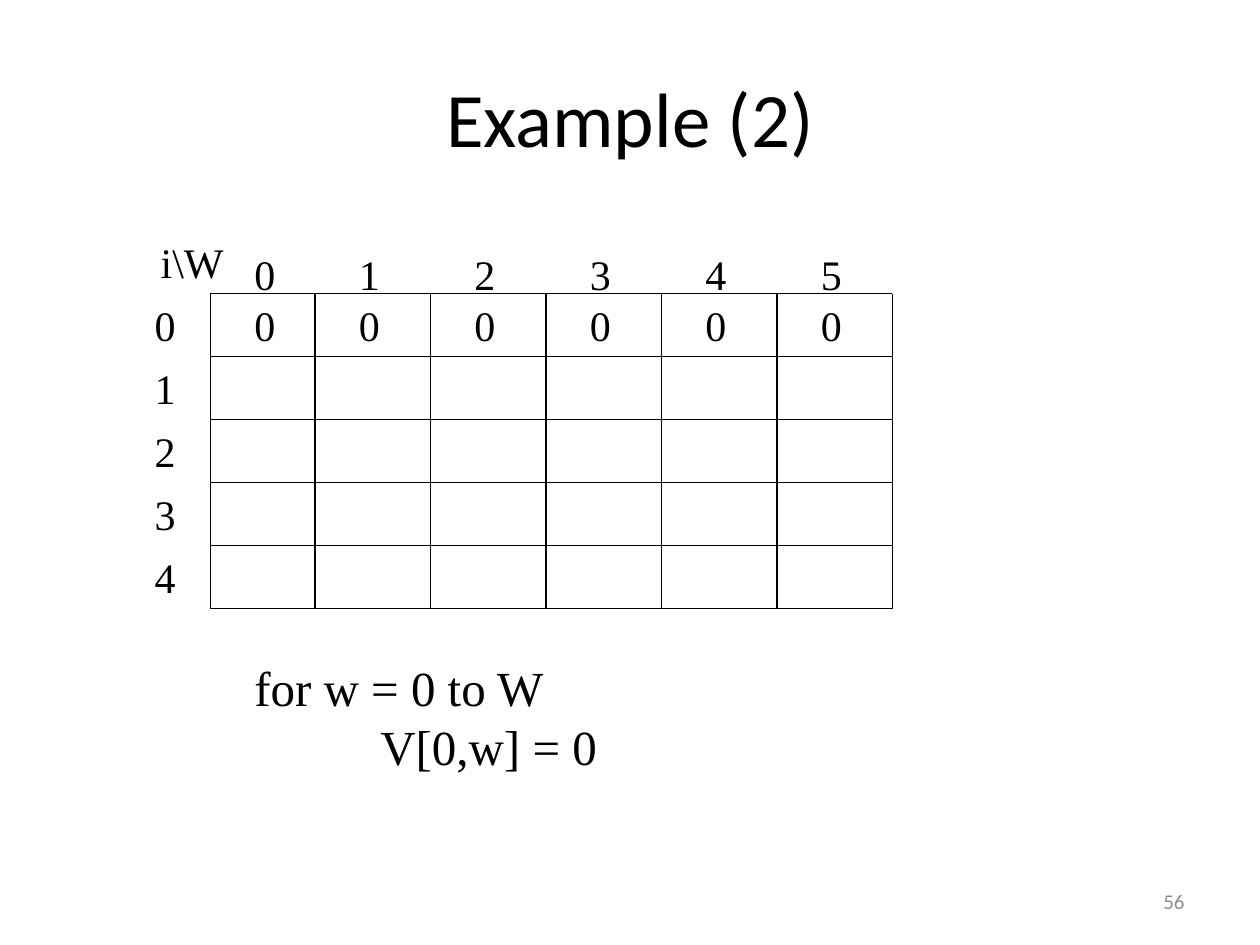
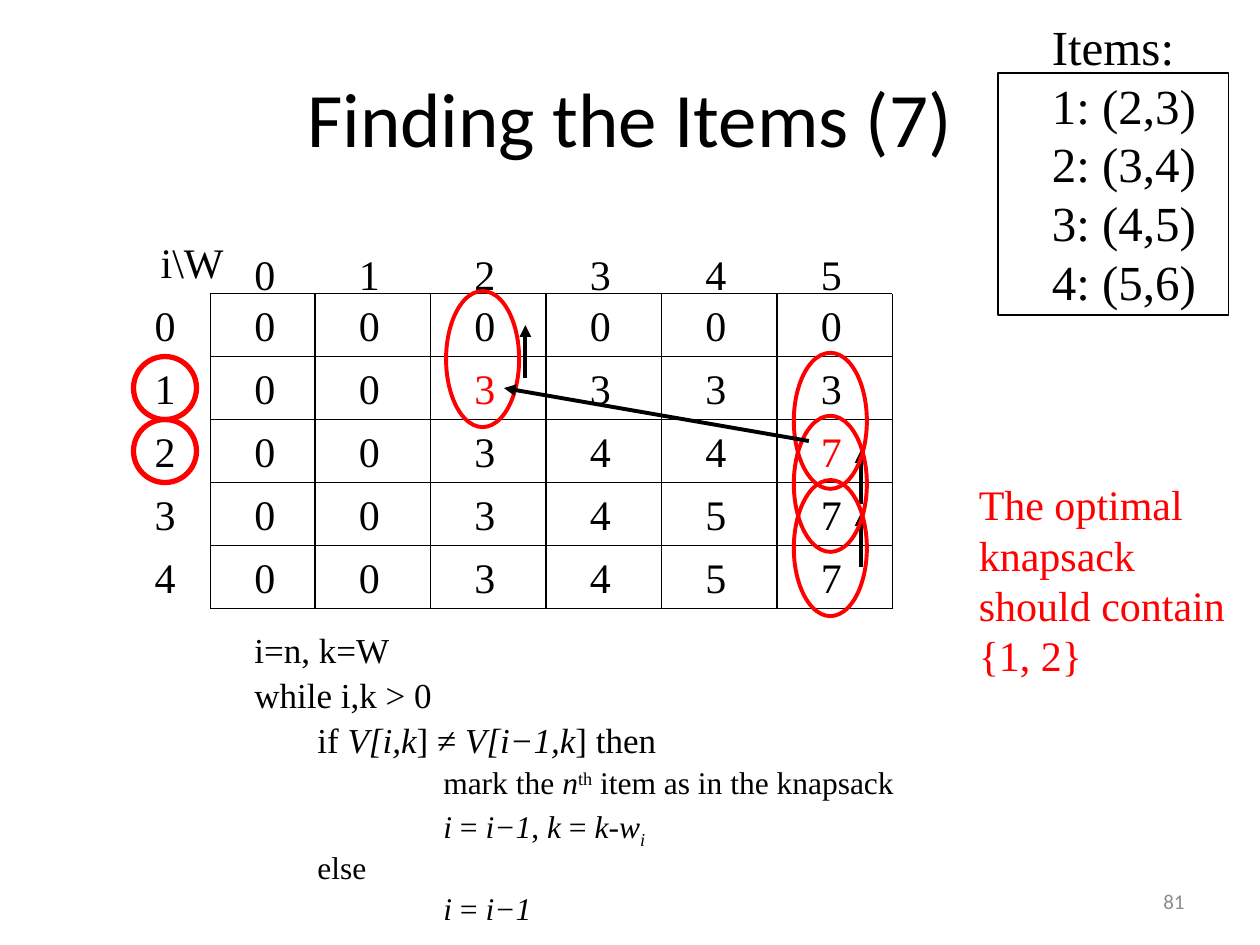
from lxml import etree
from pptx import Presentation, util as u
from pptx.dml.color import RGBColor
from pptx.enum import shapes, text
from pptx.oxml import ns

BLACK = RGBColor(0x00, 0x00, 0x00)
RED = RGBColor(0xFF, 0x00, 0x00)
GREY = RGBColor(0x8C, 0x8C, 0x8C)
SERIF, SANS = "Times New Roman", "Calibri"
BASELINES = {"sup": "30000", "sub": "-25000"}

ROW_EDGES = [2.33 + step * 0.5 for step in range(6)]
COLUMN_EDGES = [1.67] + [2.5 + step * 5.5 / 6 for step in range(6)]
ROW_LABEL_LEFT, COLUMN_LABEL_TOP, DIGIT_INDENT = 1.13, 1.92, 0.25

START_VALUES = ["000000"]
FINAL_VALUES = ["000000", "003333", "003447", "003457", "003457"]
MARKED_CELLS = {(1, 2), (2, 5)}

FILL_FIRST_ROW = [(0, 28, [("for w = 0 to W", "")]), (2, 28, [("V[0,w] = 0", "")])]
FIND_ITEMS = [
    (0, 20, [("i=n, k=W", "")]),
    (0, 20, [("while i,k > 0", "")]),
    (1, 20, [("if ", ""), ("V[i,k", "i"), ("] ≠ ", ""), ("V[i−1,k", "i"), ("] then", "")]),
    (3, 18, [("mark the ", ""), ("n", "i"), ("th", "sup"), (" item as in the knapsack", "")]),
    (3, 18, [("i ", "i"), ("= ", ""), ("i−1", "i"), (", ", ""), ("k", "i"), (" = ", ""),
             ("k-w", "i"), ("i", "i sub")]),
    (1, 18, [("else", "")]),
    (3, 18, [("i ", "i"), ("= ", ""), ("i−1", "i")]),
]
ITEMS = ["Items:", "1: (2,3)", "2: (3,4)", "3: (4,5)", "4: (5,6)"]


def inches(*lengths):
    """Convert plain numbers to lengths."""
    return [u.Inches(length) for length in lengths]


def add_run(paragraph, words, size, color=BLACK, font=SERIF, style=""):
    """Add one run; style may hold i, sup and sub."""
    run = paragraph.add_run()
    run.text = words
    run.font.name, run.font.size = font, u.Pt(size)
    run.font.color.rgb = color
    for mark in style.split():
        if mark == "i":
            run.font.italic = True
        else:
            run._r.get_or_add_rPr().set("baseline", BASELINES[mark])


def add_text(slide, box, lines, color=BLACK, font=SERIF, align=None, wrap=True, spaced=False):
    """Add a text box from lines of (level, size, runs)."""
    frame = slide.shapes.add_textbox(*inches(*box)).text_frame
    frame.word_wrap = wrap
    for number, (level, size, runs) in enumerate(lines):
        paragraph = frame.add_paragraph() if number else frame.paragraphs[0]
        paragraph.level = level
        paragraph.alignment = align
        if spaced:
            paragraph.line_spacing = 0.9
            if number:
                paragraph.space_before = u.Pt(size * 0.2)
        for words, style in runs:
            add_run(paragraph, words, size, color, font, style)
    return frame


def add_digit(slide, left, top, digit, color=BLACK):
    """Add one value or label of the grid."""
    add_text(slide, (left, top, 0.37, 0.5), [(0, 24, [(digit, "")])], color, wrap=False)


def add_slide(prs, title, number):
    """Add a slide with its title and page number."""
    slide = prs.slides.add_slide(prs.slide_layouts[5])
    heading = slide.shapes.title
    heading.left, heading.top, heading.width, heading.height = inches(0.5, 0.3, 9, 1.25)
    heading.text_frame.vertical_anchor = text.MSO_ANCHOR.MIDDLE
    paragraph = heading.text_frame.paragraphs[0]
    paragraph.alignment = text.PP_ALIGN.CENTER
    add_run(paragraph, title, 44, font=SANS)
    page = add_text(slide, (7.17, 6.95, 2.33, 0.4), [(0, 12, [(number, "")])],
                    GREY, SANS, text.PP_ALIGN.RIGHT)
    page.vertical_anchor = text.MSO_ANCHOR.MIDDLE
    return slide


def add_line(slide, ends, width=0.75):
    """Add a straight black line from the first point to the second."""
    line = slide.shapes.add_connector(shapes.MSO_CONNECTOR.STRAIGHT, *inches(*ends))
    line.line.color.rgb = BLACK
    line.line.width = u.Pt(width)
    etree.SubElement(line._element.spPr, ns.qn("a:effectLst"))
    return line


def add_arrow(slide, *ends):
    """Add a thick line that ends in an arrowhead."""
    arrow = add_line(slide, ends, 2.25)
    etree.SubElement(arrow.line._get_or_add_ln(), ns.qn("a:tailEnd"), type="triangle")


def add_grid(slide, values, marked=()):
    """Rule the knapsack grid, then add its labels and values."""
    for x in COLUMN_EDGES:
        add_line(slide, (x, ROW_EDGES[0], x, ROW_EDGES[-1]))
    for y in ROW_EDGES:
        add_line(slide, (COLUMN_EDGES[0], y, COLUMN_EDGES[-1], y))
    for column, x in enumerate(COLUMN_EDGES[:-1]):
        add_digit(slide, x + DIGIT_INDENT, COLUMN_LABEL_TOP, str(column))
    for row, y in enumerate(ROW_EDGES[:-1]):
        add_digit(slide, ROW_LABEL_LEFT, y, str(row))
    for row, digits in enumerate(values):
        for column, digit in enumerate(digits):
            color = RED if (row, column) in marked else BLACK
            add_digit(slide, COLUMN_EDGES[column] + DIGIT_INDENT, ROW_EDGES[row], digit, color)
    add_text(slide, (1.15, 1.83, 0.75, 0.5), [(0, 24, [("i\\W", "")])],
             align=text.PP_ALIGN.CENTER)


def add_outline(slide, kind, box, color, width):
    """Add an unfilled preset shape."""
    outline = slide.shapes.add_shape(kind, *inches(*box))
    outline.shadow.inherit = False
    outline.fill.background()
    outline.line.color.rgb = color
    outline.line.width = u.Pt(width)


def add_trace(slide):
    """Mark the compared cells, the chosen items and the steps between them."""
    oval = shapes.MSO_SHAPE.OVAL
    for x, bottom in ((6.83, 4.5), (6.83, 4), (4.17, 3)):
        add_arrow(slide, x, bottom, x, bottom - 0.42)
    for left, top in ((6.3, 3.81), (6.3, 3.3), (6.3, 2.8), (3.54, 2.31)):
        add_outline(slide, oval, (left, top, 0.58, 1.08), RED, 2.25)
    for item in (1, 2):
        add_outline(slide, oval, (1.06, ROW_EDGES[item], 0.5, 0.5), RED, 3)
    add_arrow(slide, 6.42, 3.5, 4, 3.08)


def main():
    """Build both slides and save them."""
    prs = Presentation()
    prs.slide_width, prs.slide_height = inches(10, 7.5)

    example = add_slide(prs, "Example (2)", "56")
    add_grid(example, START_VALUES)
    add_text(example, (1.92, 5.17, 3.75, 1.03), FILL_FIRST_ROW)

    finding = add_slide(prs, "Finding the Items (7)", "81")
    add_grid(finding, FINAL_VALUES, MARKED_CELLS)
    add_text(finding, (8.25, 0.08, 1.44, 2.44), [(0, 28, [(item, "")]) for item in ITEMS],
             wrap=False)
    add_outline(finding, shapes.MSO_SHAPE.RECTANGLE, (7.92, 0.58, 1.83, 1.92), BLACK, 0.75)
    add_text(finding, (1.92, 4.98, 7.58, 2.46), FIND_ITEMS, spaced=True)
    add_text(finding, (7.67, 3.75, 2.17, 1.7),
             [(0, 24, [("The optimal knapsack should contain {1, 2}", "")])], RED)
    add_trace(finding)

    prs.save("out.pptx")


if __name__ == "__main__":
    main()
